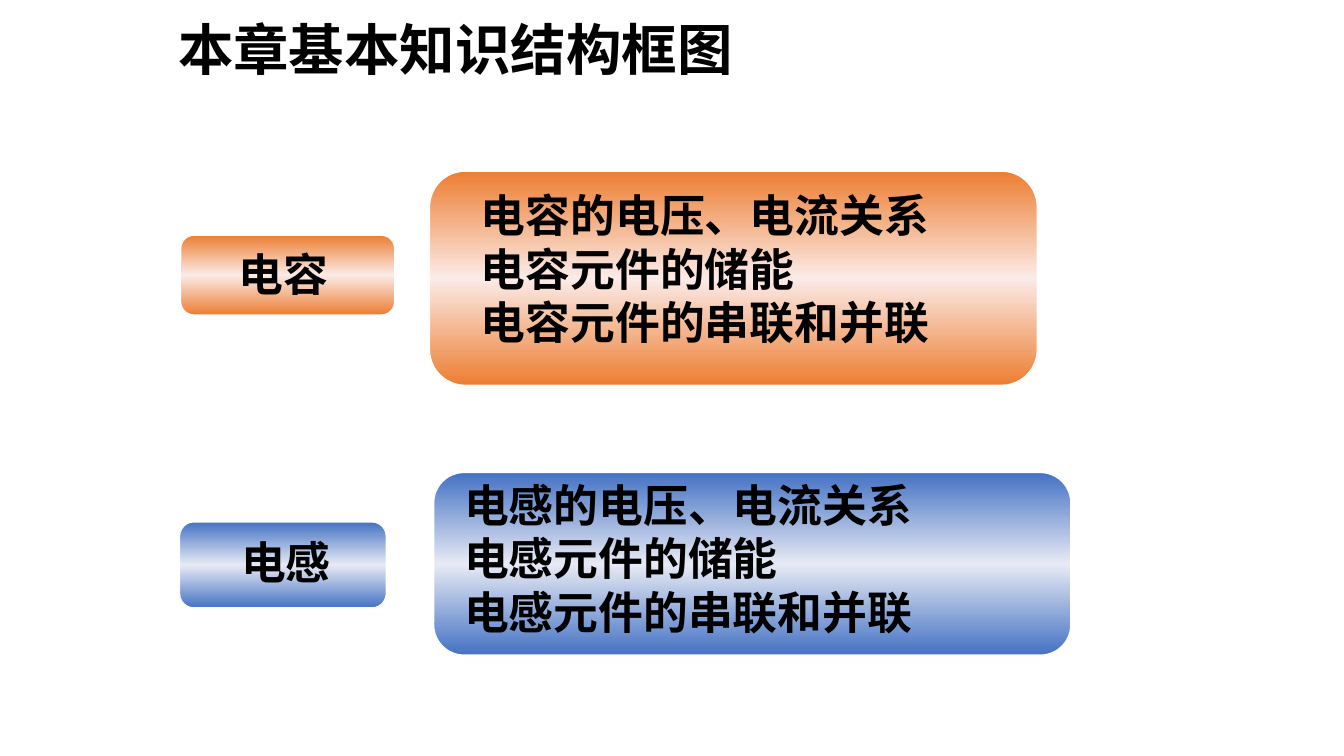
from copy import deepcopy
from pptx import Presentation
from pptx.dml.color import RGBColor
from pptx.enum.shapes import MSO_SHAPE as Shape
from pptx.enum.text import MSO_ANCHOR as Anchor, MSO_AUTO_SIZE as Auto, PP_ALIGN as Align
from pptx.oxml.ns import qn
from pptx.util import Pt

SCALE = 9525
ORANGE = ("ED7D31", "FBEBE7", "ED7D31")
BLUE = ("4472C4", "E7EAF4", "4472C4")


def px(*sizes):
    return [size * SCALE for size in sizes]


def paint(color, code):
    color.rgb = RGBColor.from_string(code)


def write(para, text, size, face):
    run = para.add_run()
    run.text = text
    font = run.font
    font.size, font.name, font.bold = Pt(size), face, True
    paint(font.color, "000000")
    return run


def shade(shape, codes):
    fill = shape.fill
    fill.gradient()
    fill.gradient_angle = 90
    stops = shape._element.spPr.find(qn("a:gradFill")).find(qn("a:gsLst"))
    stops.insert(1, deepcopy(stops[0]))
    for rank, (stop, code) in enumerate(zip(fill.gradient_stops, codes)):
        stop.position = rank / 2
        paint(stop.color, code)


def add_title(slide, box):
    title = slide.shapes.title
    title.left, title.top, title.width, title.height = px(*box)
    frame = title.text_frame
    frame.auto_size, frame.vertical_anchor = Auto.NONE, Anchor.MIDDLE
    para = frame.paragraphs[0]
    para.alignment, para.line_spacing = Align.LEFT, 0.9
    face = "Noto Sans CJK SC"
    run = write(para, "本章基本知识结构框图", 39.6, face)
    east = run.font._element.makeelement(qn("a:ea"), {"typeface": face})
    run.font._element.find(qn("a:latin")).addnext(east)


def add_card(slide, box, codes, inner, lines, align=Align.LEFT, inset=10):
    left, top, width, height = box
    dx, dy, wide, high = inner
    group = slide.shapes.add_group_shape()
    card = group.shapes.add_shape(Shape.ROUNDED_RECTANGLE, *px(left, top, width, height))
    card.adjustments[0] = 0.167
    card.shadow.inherit = False
    shade(card, codes)
    paint(card.line.color, "FFFFFF")
    card.line.width = Pt(1)
    label = group.shapes.add_textbox(*px(left + dx, top + dy, wide, high))
    frame = label.text_frame
    frame.word_wrap = True
    frame.margin_left = px(inset)[0]
    for rank, text in enumerate(lines):
        para = frame.add_paragraph() if rank else frame.paragraphs[0]
        para.alignment = align
        write(para, text, 32, "Arial")


def topics(name):
    return [f"{name}的电压、电流关系", f"{name}元件的储能", f"{name}元件的串联和并联"]


def main():
    deck = Presentation()
    deck.slide_width, deck.slide_height = px(1280, 720)
    slide = deck.slides.add_slide(deck.slide_layouts[5])
    add_title(slide, (160, 20, 808, 60))
    add_card(slide, (172, 224, 204, 76), ORANGE, (-8, 6, 211, 60), ["电容"], Align.CENTER)
    add_card(slide, (171, 497, 197, 82), BLUE, (5, 8, 192, 60), ["电感"], Align.CENTER)
    add_card(slide, (409, 163, 579, 204), ORANGE, (-18, 11, 597, 165), topics("电容"), inset=67)
    add_card(slide, (413, 450, 607, 174), BLUE, (19, 0, 632, 165), topics("电感"))
    deck.save("out.pptx")


if __name__ == "__main__":
    main()
